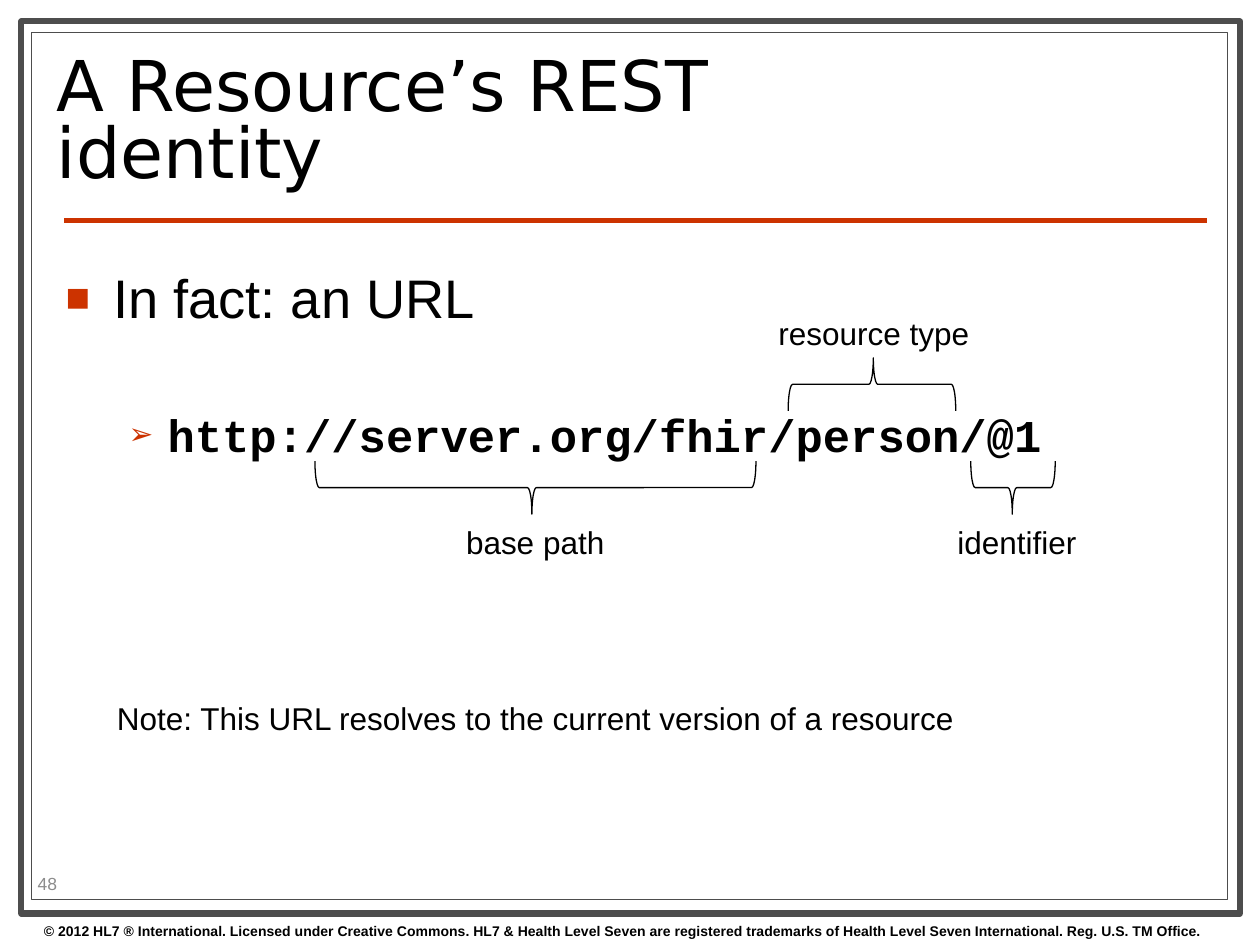
from dataclasses import dataclass

from lxml import etree
from pptx import Presentation
from pptx.dml.color import RGBColor
from pptx.enum.shapes import MSO_CONNECTOR, MSO_SHAPE
from pptx.enum.text import MSO_ANCHOR, MSO_AUTO_SIZE, PP_ALIGN
from pptx.oxml.ns import qn
from pptx.util import Inches, Pt

BLACK = RGBColor(0x00, 0x00, 0x00)
WHITE = RGBColor(0xFF, 0xFF, 0xFF)
FRAME_GREY = RGBColor(0x4D, 0x4D, 0x4D)
NUMBER_GREY = RGBColor(0x8C, 0x8C, 0x8C)
RED = RGBColor(0xCC, 0x33, 0x00)

RECT, BRACE = MSO_SHAPE.RECTANGLE, MSO_SHAPE.LEFT_BRACE
STRAIGHT = MSO_CONNECTOR.STRAIGHT
TOP, MIDDLE = MSO_ANCHOR.TOP, MSO_ANCHOR.MIDDLE
NO_FIT = MSO_AUTO_SIZE.NONE
LEFT = PP_ALIGN.LEFT

BRACE_DEPTH = 0.42
LABEL_HEIGHT = 0.4


@dataclass
class Frame:
    left: float
    top: float
    width: float
    height: float
    weight: float


@dataclass
class Brace:
    center_x: float
    center_y: float
    span: float
    rotation: int


@dataclass
class Label:
    text: str
    left: float
    top: float
    width: float
    height: float = LABEL_HEIGHT
    size: int = 18
    color: RGBColor = BLACK
    bold: bool = False
    wrap: bool = False
    anchor: MSO_ANCHOR = TOP


@dataclass
class Bullet:
    text: str
    level: int
    size: int
    font: str
    bold: bool
    char: str
    char_pct: int
    margin: float
    hanging: float
    space_before: int


FRAMES = [
    Frame(0.17, 0.17, 9.67, 7.08, 3.5),
    Frame(0.25, 0.26, 9.49, 6.88, 0.75),
]
BULLETS = [
    Bullet("In fact: an URL", 0, 31, "Arial", False, "■", 75, 0.38, 0.38, 0),
    Bullet("http://server.org/fhir/person/@1", 1, 26, "Courier New", True,
           "➢", 65, 0.81, 0.31, 44),
]
BRACES = [
    Brace(4.25, 3.87, 3.5, 270),
    Brace(6.92, 3.05, 1.33, 90),
    Brace(8.04, 3.87, 0.67, 270),
]
LABELS = [
    Label("base path", 3.6, 4.1, 1.31),
    Label("resource type", 6.08, 2.44, 1.73),
    Label("identifier", 7.5, 4.1, 1.16),
    Label("Note: This URL resolves to the current version of a resource",
          0.83, 5.5, 6.91),
    Label("48", 0.2, 6.89, 0.79, 0.24, 10, NUMBER_GREY, wrap=True,
          anchor=MIDDLE),
    Label("© 2012 HL7 ® International. Licensed under Creative Commons. "
          "HL7 & Health Level Seven are registered trademarks of Health Level "
          "Seven International. Reg. U.S. TM Office.",
          0.25, 7.27, 9.75, 0.23, 8, bold=True, wrap=True),
]


def place(sp, left: float, top: float, width: float, height: float) -> None:
    sp.left, sp.top = Inches(left), Inches(top)
    sp.width, sp.height = Inches(width), Inches(height)


def add_run(p, text: str, size: int, font: str = "Arial",
            color: RGBColor = BLACK, bold: bool = False) -> None:
    r = p.add_run()
    r.text = text
    r.font.size, r.font.name, r.font.bold = Pt(size), font, bold
    r.font.color.rgb = color


def add_frame(s, frame: Frame, depth: int) -> None:
    sp = s.shapes.add_shape(RECT, Inches(frame.left), Inches(frame.top),
                            Inches(frame.width), Inches(frame.height))
    sp.shadow.inherit = False
    sp.fill.solid()
    sp.fill.fore_color.rgb = WHITE
    sp.line.color.rgb = FRAME_GREY
    sp.line.width = Pt(frame.weight)
    # Frames go behind the placeholders, after the two group property elements
    s.shapes._spTree.insert(2 + depth, sp._element)


def add_bullet(p, b: Bullet) -> None:
    p.level = b.level
    pPr = p._p.get_or_add_pPr()
    pPr.set("marL", str(Inches(b.margin)))
    pPr.set("indent", str(-Inches(b.hanging)))
    color = etree.SubElement(pPr, qn("a:buClr"))
    etree.SubElement(color, qn("a:srgbClr"), val=str(RED))
    etree.SubElement(pPr, qn("a:buSzPct"), val=str(b.char_pct * 1000))
    etree.SubElement(pPr, qn("a:buChar"), char=b.char)
    p.space_before = Pt(b.space_before)
    add_run(p, b.text, b.size, b.font, bold=b.bold)


def add_brace(s, b: Brace) -> None:
    sp = s.shapes.add_shape(BRACE, Inches(b.center_x - BRACE_DEPTH / 2),
                            Inches(b.center_y - b.span / 2),
                            Inches(BRACE_DEPTH), Inches(b.span))
    sp.rotation = b.rotation
    sp.adjustments[0], sp.adjustments[1] = 0.083, 0.492
    sp.shadow.inherit = False
    sp.fill.background()
    sp.line.color.rgb = BLACK
    sp.line.width = Pt(0.75)


def add_label(s, label: Label) -> None:
    sp = s.shapes.add_textbox(Inches(label.left), Inches(label.top),
                              Inches(label.width), Inches(label.height))
    tf = sp.text_frame
    tf.word_wrap = label.wrap
    tf.vertical_anchor = label.anchor
    add_run(tf.paragraphs[0], label.text, label.size, color=label.color,
            bold=label.bold)


def main() -> None:
    prs = Presentation()
    prs.slide_width, prs.slide_height = Inches(10), Inches(7.5)
    s = prs.slides.add_slide(prs.slide_layouts[1])

    # Page frames and title rule
    for depth, frame in enumerate(FRAMES):
        add_frame(s, frame, depth)
    rule = s.shapes.add_connector(STRAIGHT, Inches(0.51), Inches(1.75),
                                  Inches(9.58), Inches(1.75))
    rule.line.color.rgb = RED
    rule.line.width = Pt(3)
    etree.SubElement(rule._element.spPr, qn("a:effectLst"))

    # Title
    title = s.shapes.title
    place(title, 0.35, 0.36, 7.17, 1.26)
    tf = title.text_frame
    tf.auto_size, tf.vertical_anchor = NO_FIT, MIDDLE
    p = tf.paragraphs[0]
    p.alignment, p.line_spacing = LEFT, 0.8
    add_run(p, "A Resource’s REST identity", 40, "DejaVu Sans")

    # Body list
    body = s.placeholders[1]
    place(body, 0.42, 2, 9.17, 4.9)
    tf = body.text_frame
    tf.auto_size, tf.margin_top = NO_FIT, Inches(0.1)
    for i, bullet in enumerate(BULLETS):
        add_bullet(tf.add_paragraph() if i else tf.paragraphs[0], bullet)

    # URL parts, note, page number and copyright line
    for brace in BRACES:
        add_brace(s, brace)
    for label in LABELS:
        add_label(s, label)

    prs.save("out.pptx")


if __name__ == "__main__":
    main()
